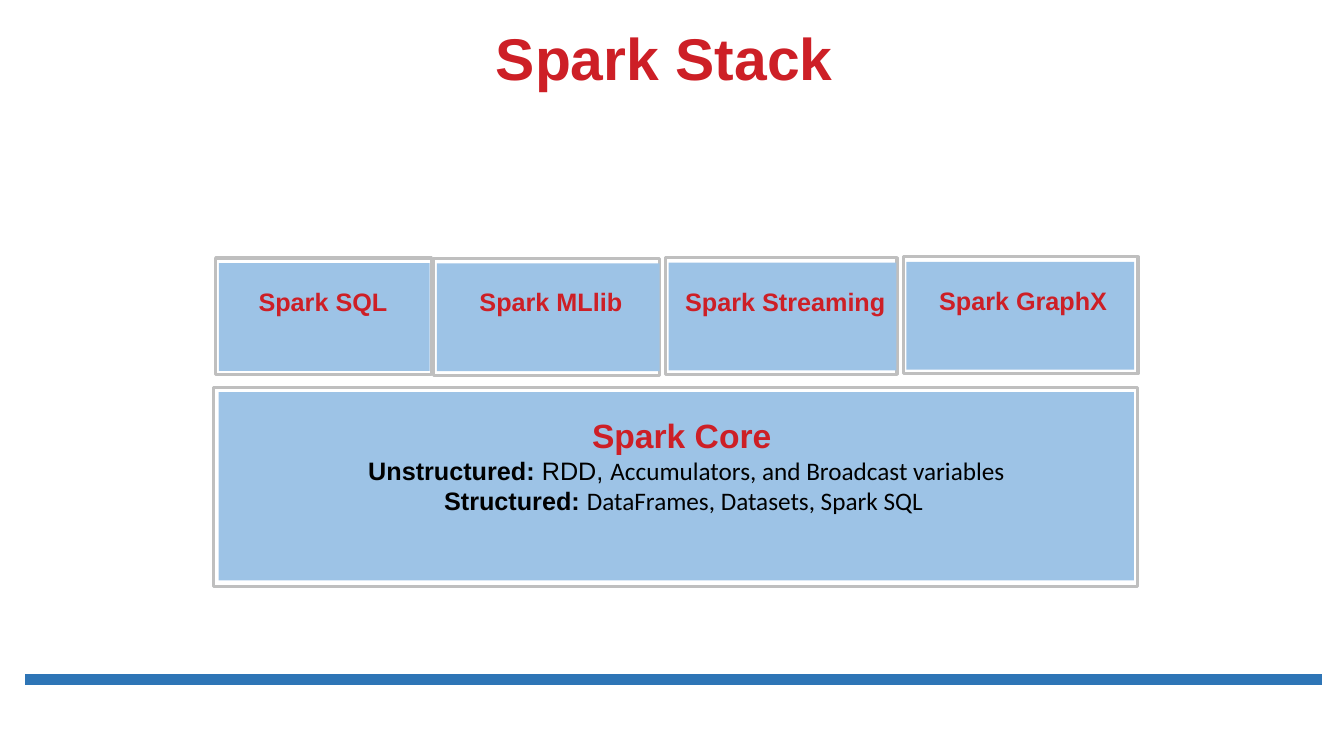
import pptx
import pptx.dml.color
import pptx.enum.shapes
import pptx.enum.text
import pptx.util
from lxml import etree

Pt = pptx.util.Pt
RGBColor = pptx.dml.color.RGBColor

RED = RGBColor(0xCD, 0x1F, 0x26)
BLACK = RGBColor(0, 0, 0)
WHITE = RGBColor(0xFF, 0xFF, 0xFF)
GREY = RGBColor(0xBF, 0xBF, 0xBF)
LIGHT_BLUE = RGBColor(0x9D, 0xC3, 0xE6)
RULE_BLUE = RGBColor(0x2E, 0x75, 0xB6)


def add_text(paragraphs, *, left, top, width, height, anchor="TOP", line_spacing=None):
    """Add centred paragraphs, each a list of (text, size, font, colour, bold)."""
    box = page.shapes.add_textbox(Pt(left), Pt(top), Pt(width), Pt(height))
    frame = box.text_frame
    frame.word_wrap = True
    frame.vertical_anchor = pptx.enum.text.MSO_ANCHOR[anchor]
    for index, spans in enumerate(paragraphs):
        para = frame.add_paragraph() if index else frame.paragraphs[0]
        para.alignment = pptx.enum.text.PP_ALIGN.CENTER
        para.line_spacing = line_spacing
        for text, size, font, colour, bold in spans:
            span = para.add_run()
            span.text = text
            span.font.size = Pt(size)
            span.font.name = font
            span.font.color.rgb = colour
            span.font.bold = bold


def add_panel(frame_area, fill_area):
    """Add a white rectangle with a grey border and a blue one inside it."""
    for area, fill in ((frame_area, WHITE), (fill_area, LIGHT_BLUE)):
        panel = page.shapes.add_shape(
            pptx.enum.shapes.MSO_SHAPE.RECTANGLE, *[Pt(length) for length in area])
        panel.shadow.inherit = False
        panel.fill.solid()
        panel.fill.fore_color.rgb = fill
        if fill == WHITE:
            panel.line.color.rgb = GREY
            panel.line.width = Pt(2.25)
        else:
            panel.line.fill.background()


deck = pptx.Presentation()
deck.slide_width = Pt(960)
deck.slide_height = Pt(540)
page = deck.slides.add_slide(deck.slide_layouts[6])

footer_rule = page.shapes.add_connector(
    pptx.enum.shapes.MSO_CONNECTOR.STRAIGHT, Pt(18), Pt(485.3), Pt(944.6), Pt(485.3))
footer_rule.line.color.rgb = RULE_BLUE
footer_rule.line.width = Pt(8)
etree.SubElement(
    footer_rule.element.spPr,
    "{http://schemas.openxmlformats.org/drawingml/2006/main}effectLst")

add_text([[("Spark Stack", 42, "Arial", RED, True)]],
         left=114.5, top=16.5, width=720, height=53.3, anchor="BOTTOM", line_spacing=0.9)

add_panel((152.6, 276.5, 660.2, 142.5), (156.2, 280.1, 653.8, 134.6))
add_text([
    [("Spark Core ", 24, "Arial", RED, True)],
    [("Unstructured:", 18, "Arial", BLACK, True),
     (" RDD, ", 18, "Arial", BLACK, False),
     ("Accumulators, and Broadcast variables", 18, "Calibri", BLACK, False)],
    [("Structured: ", 18, "Arial", BLACK, True),
     ("DataFrames, Datasets, Spark SQL ", 18, "Calibri", BLACK, False)],
], left=169.9, top=293, width=640.8, height=80)

# Name, left, top, frame width, fill width, text width
libraries = [
    ("Spark SQL", 154, 184.3, 154, 150.5, 146.2),
    ("Spark MLlib", 309.6, 184.6, 161.3, 159.1, 160.6),
    ("Spark Streaming", 475.2, 184, 165.6, 162.7, 164.2),
    ("Spark GraphX", 645.1, 183.4, 167.8, 162.7, 164.2),
]
for name, left, top, frame_width, fill_width, text_width in libraries:
    add_panel((left, top, frame_width, 83.5), (left + 2.4, top + 3.6, fill_width, 77))
    add_text([[(name, 18, "Arial", RED, True)]],
             left=left + 3.6, top=top + 16.7, width=text_width, height=46.8)

deck.save("out.pptx")
